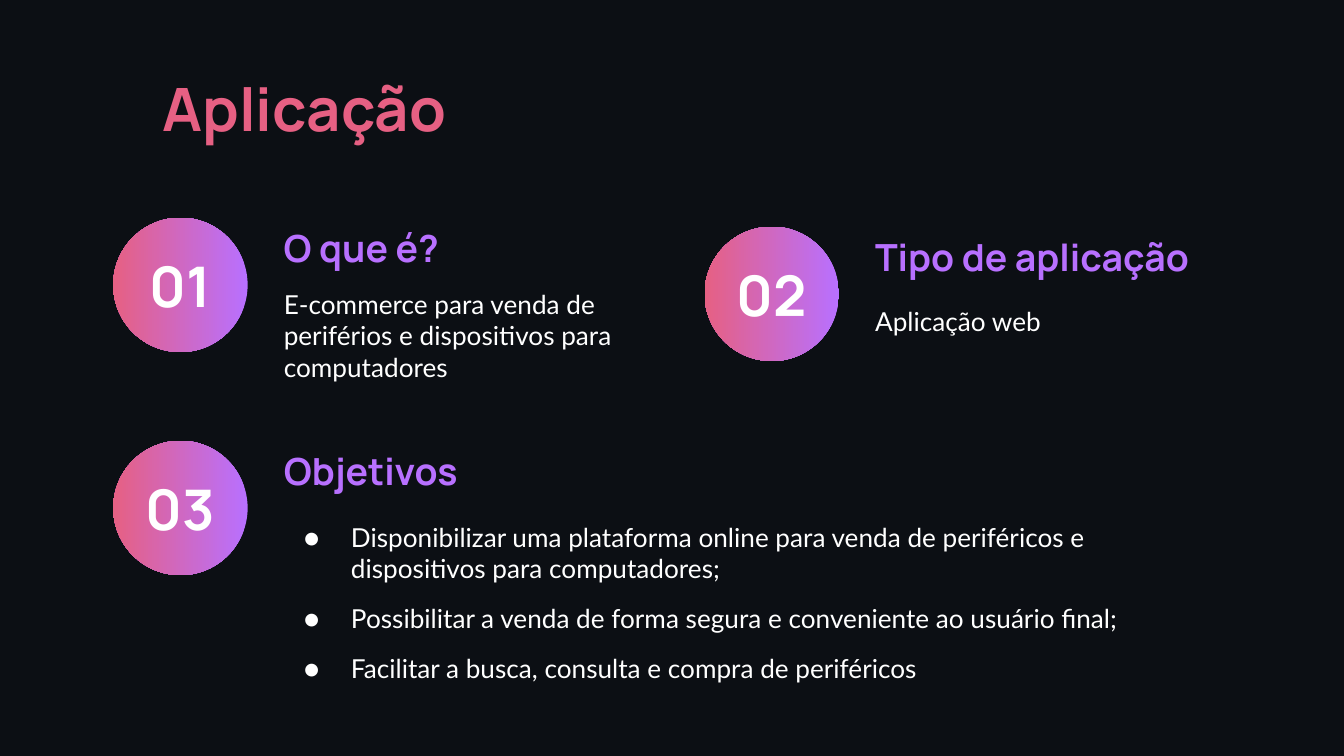
import pptx
import pptx.util
import pptx.dml.color
import pptx.enum.shapes
import pptx.enum.text
import lxml.etree

THEME = {
    "background": "0C0F14",
    "gradient": ["B870FF", "E66083"],
    "title": {"name": "Manrope", "size": 32, "bold": True, "color": "E66083"},
    "heading": {"name": "Manrope", "size": 20, "bold": True, "color": "B870FF"},
    "number": {"name": "Manrope", "size": 30, "bold": True, "color": "FFFFFF"},
    "body": {"name": "Lato", "size": 14, "bold": False, "color": "FFFFFF"},
}
ALIGN = pptx.enum.text.PP_ALIGN
RGB = pptx.dml.color.RGBColor.from_string

# Widescreen deck, 16 to 9
deck = pptx.Presentation()
deck.slide_width = pptx.util.Inches(10)
deck.slide_height = deck.slide_width * 9 // 16
slide = deck.slides.add_slide(deck.slide_layouts[6])
slide.background.fill.solid()
slide.background.fill.fore_color.rgb = RGB(THEME["background"])

# Square grid: 100 columns across the slide
unit = deck.slide_width / 100


def grid(*cells):
    return [round(cell * unit) for cell in cells]


def add_text(place, lines, style, inset=1, align=ALIGN.LEFT, bullets=False):
    box = slide.shapes.add_textbox(*grid(*place))
    frame = box.text_frame
    margin = grid(inset)[0]
    settings = {
        "word_wrap": True,
        "vertical_anchor": pptx.enum.text.MSO_ANCHOR.MIDDLE,
        "margin_left": margin, "margin_right": margin,
        "margin_top": margin, "margin_bottom": margin,
    }
    for key, value in settings.items():
        setattr(frame, key, value)
    for index, line in enumerate(lines):
        para = frame.paragraphs[0] if index == 0 else frame.add_paragraph()
        para.alignment = align
        if bullets:
            if index > 0:
                para.space_before = pptx.util.Pt(10)
            if index == len(lines) - 1:
                para.space_after = pptx.util.Pt(10)
            properties = para._p.get_or_add_pPr()
            indent, hanging = grid(5, -3.5)
            properties.set("marL", str(indent))
            properties.set("indent", str(hanging))
            # Bullet colour, font and character, in schema order
            tint = lxml.etree.SubElement(properties, pptx.oxml.ns.qn("a:buClr"))
            for parent, tag, key, value in [
                (tint, "a:srgbClr", "val", THEME[style]["color"]),
                (properties, "a:buFont", "typeface", THEME[style]["name"]),
                (properties, "a:buChar", "char", "●"),
            ]:
                lxml.etree.SubElement(parent, pptx.oxml.ns.qn(tag)).set(key, value)
        span = para.add_run()
        span.text = line
        formats = {**THEME[style], "size": pptx.util.Pt(THEME[style]["size"])}
        span.font.color.rgb = RGB(formats.pop("color"))
        for key, value in formats.items():
            setattr(span.font, key, value)


# Slide title
add_text((11.1, 4.85, 81.1, 6.3), ["Aplicação"], "title")

# Topics: column, row, heading, heading width, body lines, body width and height
topics = [
    (8.43, 16.2, "O que é?", 15.3,
     ["E-commerce para venda de periférios e dispositivos para computadores"], 27.5, 7.1),
    (52.43, 16.87, "Tipo de aplicação", 33.4, ["Aplicação web"], 27.5, 3.7),
    (8.43, 32.8, "Objetivos", 27.5,
     ["Disponibilizar uma plataforma online para venda de periféricos e "
      "dispositivos para computadores;",
      "Possibilitar a venda de forma segura e conveniente ao usuário final;",
      "Facilitar a busca, consulta e compra de periféricos"], 72.1, 13.7),
]
for number, topic in enumerate(topics, start=1):
    column, row, heading, heading_width, lines, body_width, body_height = topic

    # Gradient circle with its number
    circle = slide.shapes.add_shape(
        pptx.enum.shapes.MSO_SHAPE.OVAL, *grid(column, row, 10, 10))
    circle.shadow.inherit = False
    circle.line.fill.background()
    circle.fill.gradient()
    circle.fill.gradient_angle = 180
    for stop, color in zip(circle.fill.gradient_stops, THEME["gradient"]):
        stop.color.rgb = RGB(color)
    add_text((column + 0.95, row + 3.15, 8.1, 3.7), [f"{number:02d}"], "number",
             inset=0, align=ALIGN.CENTER)

    # Heading and body beside the circle
    text_column = column + 11.7
    add_text((text_column, row + 0.67, heading_width, 3.1), [heading], "heading")
    add_text((text_column, row + 5.2, body_width, body_height), lines, "body",
             bullets=len(lines) > 1)

deck.save("out.pptx")
